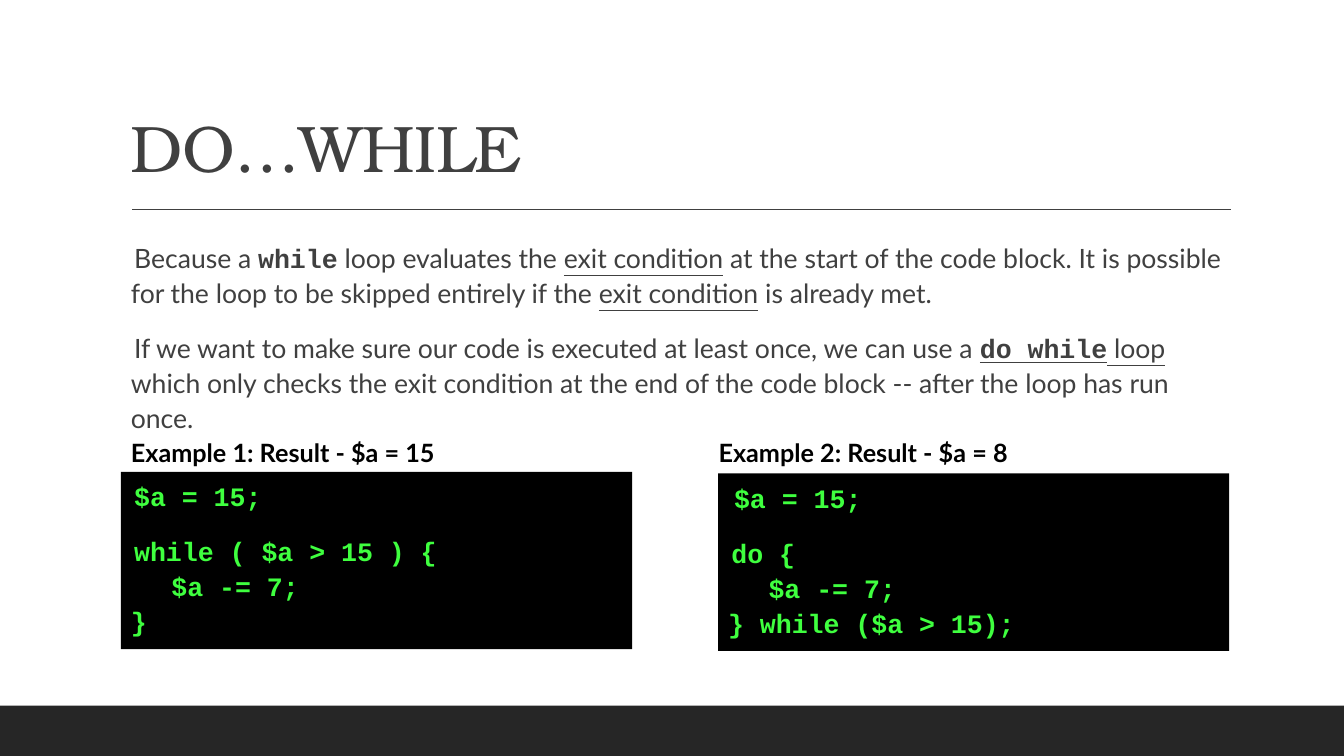
"""Build the slide on do-while loops."""
import pptx
import pptx.dml.color
import pptx.enum.shapes
import pptx.enum.text
import pptx.oxml.ns
import pptx.util
from lxml import etree

Cm, Pt, qn = pptx.util.Cm, pptx.util.Pt, pptx.oxml.ns.qn
GREY, BLACK, GREEN = "404040", "000000", "3FFF3F"
SANS, MONO, SERIF = "Lato", "Courier New", "TeX Gyre Bonum"
LEFT, WIDE = 3.05, 27.94


def tint(code):
    return pptx.dml.color.RGBColor.from_string(code)


class Deck:
    def __init__(self):
        self.show = pptx.Presentation()
        self.show.slide_width, self.show.slide_height = Cm(33.87), Cm(19.05)
        self.slide = self.show.slides.add_slide(self.show.slide_layouts[6])
        self.shapes = self.slide.shapes

    def block(self, x, y, w, h, fill):
        kind = pptx.enum.shapes.MSO_SHAPE.RECTANGLE
        box = self.shapes.add_shape(kind, Cm(x), Cm(y), Cm(w), Cm(h))
        box.shadow.inherit = False
        box.fill.solid()
        box.fill.fore_color.rgb = tint(fill)
        box.line.fill.background()
        return box

    def rule(self, x, y, end):
        kind = pptx.enum.shapes.MSO_CONNECTOR.STRAIGHT
        line = self.shapes.add_connector(kind, Cm(x), Cm(y), Cm(end), Cm(y))
        line.line.color.rgb = tint(GREY)
        line.line.width = Pt(1)
        etree.SubElement(line._element.spPr, qn("a:effectLst"))

    def frame(self, box, side=0.25, low=False):
        frame = box.text_frame
        frame.word_wrap = True
        frame.margin_left = frame.margin_right = Cm(side)
        frame.margin_top = frame.margin_bottom = Cm(0.13)
        anchor = pptx.enum.text.MSO_ANCHOR
        frame.vertical_anchor = anchor.BOTTOM if low else anchor.TOP
        return frame

    def text(self, x, y, w, h, **style):
        box = self.shapes.add_textbox(Cm(x), Cm(y), Cm(w), Cm(h))
        return self.frame(box, **style)

    def run(self, para, words, font, size, color, bold=False, under=False):
        for num, part in enumerate(words.split("\n")):
            if num:
                para.add_line_break()
            run = para.add_run()
            run.text = part
            run.font.name, run.font.size = font, Pt(size)
            run.font.bold, run.font.underline = bold, under
            run.font.color.rgb = tint(color)
        return run

    def para(self, frame, first, hang=True):
        para = frame.paragraphs[0] if first else frame.add_paragraph()
        para.alignment = pptx.enum.text.PP_ALIGN.LEFT
        para.line_spacing = 1.1
        para.space_before, para.space_after = Pt(12), Pt(2)
        if hang:
            prop = para._p.get_or_add_pPr()
            prop.set("marL", str(Cm(0.25)))
            prop.set("indent", str(-Cm(0.25)))
            color = etree.SubElement(prop, qn("a:buClr"))
            etree.SubElement(color, qn("a:srgbClr"), val="9BA8B7")
            etree.SubElement(prop, qn("a:buChar"), char=" ")
        return para

    def title(self, words):
        frame = self.text(LEFT, 0.79, WIDE, 4.04, low=True)
        para = frame.paragraphs[0]
        para.line_spacing = 0.9
        run = self.run(para, words, SERIF, 47, GREY)
        run.font._element.set("spc", "-50")

    def body(self, paras):
        frame = self.text(LEFT, 5.89, WIDE, 5, side=0)
        for num, runs in enumerate(paras):
            para = self.para(frame, num == 0)
            for words, flags in runs:
                code = "c" in flags
                font = MONO if code else SANS
                self.run(para, words, font, 19, GREY, code, "u" in flags)

    def label(self, x, words):
        frame = self.text(x, 10.9, 9.86, 1.02)
        self.run(frame.paragraphs[0], words, SANS, 18, BLACK, True)

    def code(self, x, y, parts):
        frame = self.frame(self.block(x, y, 12.88, 4.47, BLACK), side=0)
        for num, words in enumerate(parts):
            para = self.para(frame, num == 0, not words.startswith(" "))
            self.run(para, words, MONO, 19, GREEN, True)


def main():
    deck = Deck()
    deck.block(0, 17.78, 33.87, 1.27, "262626")
    deck.rule(3.33, 5.28, 31.01)
    deck.title("DO…WHILE")
    deck.body([
        [("Because a ", ""), ("while", "c"),
         (" loop evaluates the ", ""), ("exit condition", "u"),
         (" at the start of the code block. It is possible for the loop"
          " to be skipped entirely if the ", ""),
         ("exit condition", "u"), (" is already met.", "")],
        [("If we want to make sure our code is executed at least once,"
          " we can use a ", ""),
         ("do while", "cu"), (" loop", "u"),
         (" which only checks the exit condition at the end of the code"
          " block -- after the loop has run once.", "")],
    ])
    deck.code(LEFT, 11.89, ["$a = 15;", "while ( $a > 15 ) {\n\t$a -= 7;\n}"])
    deck.code(18.1, 11.93, [" $a = 15;", "do {\n\t$a -= 7;\n} while ($a > 15);"])
    deck.label(LEFT, "Example 1: Result - $a = 15")
    deck.label(17.86, "Example 2: Result - $a = 8")
    deck.show.save("out.pptx")


if __name__ == "__main__":
    main()
